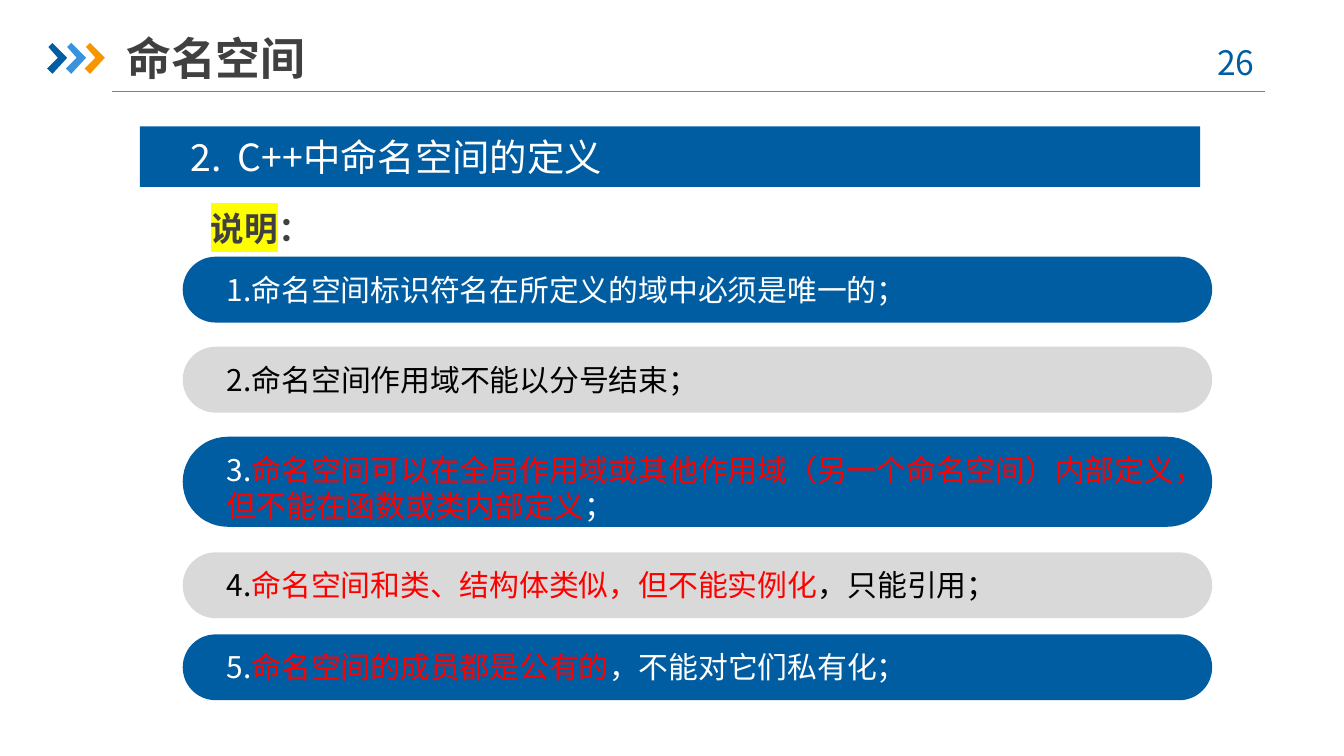
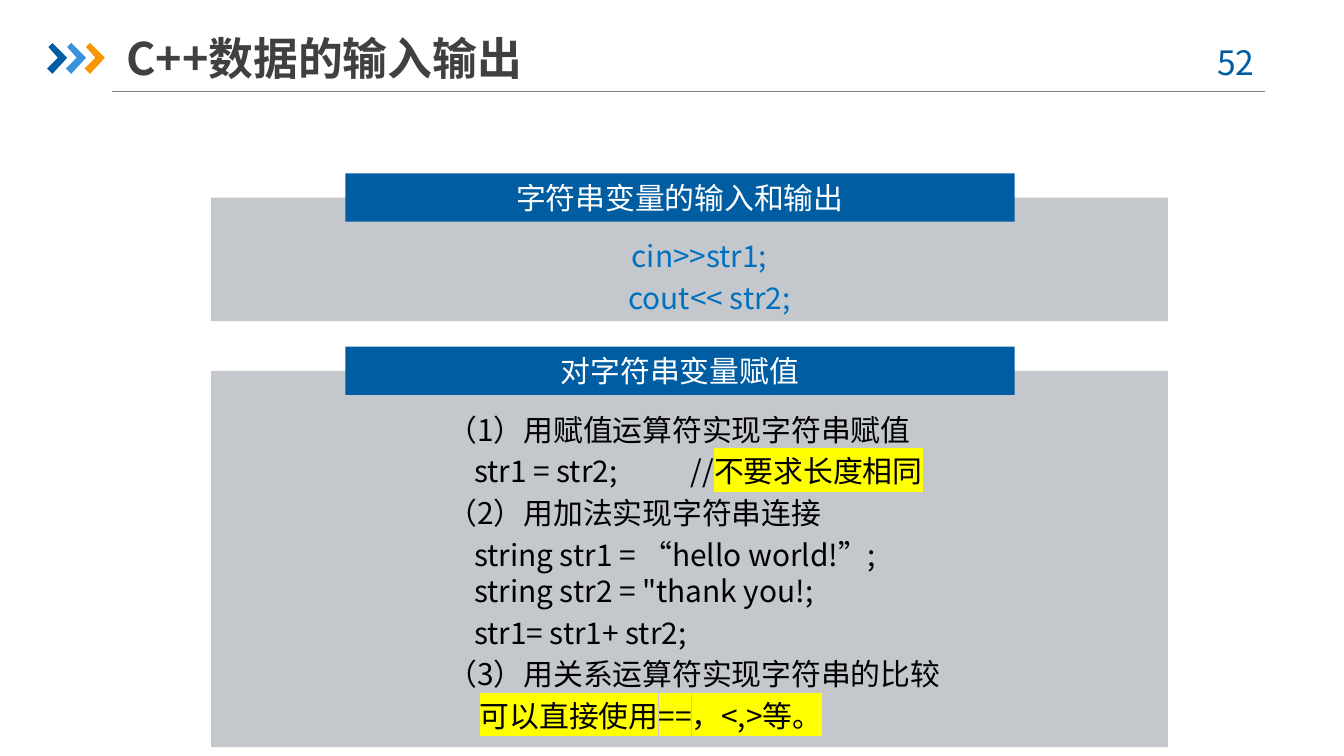
from lxml import etree
from pptx import Presentation
from pptx.dml.color import RGBColor
from pptx.enum.shapes import MSO_CONNECTOR, MSO_SHAPE
from pptx.enum.text import MSO_ANCHOR, MSO_AUTO_SIZE, PP_ALIGN
from pptx.oxml.ns import qn
from pptx.util import Inches, Pt

FONT = "Noto Sans CJK SC"
BLUE = RGBColor(0x00, 0x5D, 0xA2)
SKY = RGBColor(0x39, 0x92, 0xDB)
ORANGE = RGBColor(0xF7, 0x96, 0x00)
CODE_BLUE = RGBColor(0x00, 0x70, 0xC0)
RED = RGBColor(0xFF, 0x00, 0x00)
YELLOW = RGBColor(0xFF, 0xFF, 0x00)
BLACK = RGBColor(0x00, 0x00, 0x00)
WHITE = RGBColor(0xFF, 0xFF, 0xFF)
DARK = RGBColor(0x40, 0x40, 0x40)
RULE_GRAY = RGBColor(0x80, 0x80, 0x80)
PILL_GRAY = RGBColor(0xD9, 0xD9, 0xD9)
PANEL_GRAY = RGBColor(0xC4, 0xC7, 0xCB)

RECT, PILL = MSO_SHAPE.RECTANGLE, MSO_SHAPE.ROUNDED_RECTANGLE
STRAIGHT = MSO_CONNECTOR.STRAIGHT
LEFT, CENTER = PP_ALIGN.LEFT, PP_ALIGN.CENTER
MIDDLE = MSO_ANCHOR.MIDDLE
GROW, FIXED = MSO_AUTO_SIZE.SHAPE_TO_FIT_TEXT, MSO_AUTO_SIZE.NONE

CHEVRON = [(0.01, 0.03), (0.04, 0), (0.15, 0.11), (0.04, 0.23), (0, 0.19), (0.08, 0.11)]
SMALL_INSETS = (0.08, 0.04, 0.08, 0.04)


# Text
def write(p, *runs, size=16, color=BLACK, bold=False, align=LEFT, before=0, indent=0, tab=None):
    """Fill a paragraph; a run is "\n", a string or (string, colour, highlight)."""
    p.alignment = align
    if before:
        p.space_before = Pt(before)
    pPr = p._p.get_or_add_pPr()
    if indent:
        pPr.set("marL", str(Inches(indent)))
        pPr.set("indent", "0")
    if tab:
        tabs = etree.SubElement(pPr, qn("a:tabLst"))
        etree.SubElement(tabs, qn("a:tab"), pos=str(Inches(tab)), algn="l")
    for run in runs:
        if run == "\n":
            p.add_line_break()
            etree.SubElement(p._p[-1], qn("a:rPr"), sz=str(size * 100))
            continue
        text, run_color, highlight = (run, None, None) if isinstance(run, str) else run
        r = p.add_run()
        r.text = text
        r.font.size, r.font.bold = Pt(size), bold
        r.font.color.rgb = run_color or color
        rPr = r._r.get_or_add_rPr()
        if highlight:
            mark = etree.SubElement(rPr, qn("a:highlight"))
            etree.SubElement(mark, qn("a:srgbClr"), val=str(highlight))
        for tag in ("a:latin", "a:ea"):
            etree.SubElement(rPr, qn(tag), typeface=FONT)


def set_insets(tf, insets):
    tf.margin_left, tf.margin_top, tf.margin_right, tf.margin_bottom = map(Inches, insets)


def add_text(slide, box, paragraphs, wrap=True, insets=(0.1, 0.05, 0.1, 0.05), **fmt):
    """Add a text box; a paragraph is (runs, its own format)."""
    tf = slide.shapes.add_textbox(*map(Inches, box)).text_frame
    tf.word_wrap, tf.auto_size = wrap, GROW
    set_insets(tf, insets)
    for i, (runs, own) in enumerate(paragraphs):
        p = tf.add_paragraph() if i else tf.paragraphs[0]
        write(p, *runs, **{**fmt, **own})


# Shapes
def paint(sp, color):
    sp.shadow.inherit = False
    sp.fill.solid()
    sp.fill.fore_color.rgb = color
    sp.line.fill.background()


def add_block(slide, kind, box, color):
    sp = slide.shapes.add_shape(kind, *map(Inches, box))
    paint(sp, color)
    return sp


# Shared header: rule, chevrons, page number, title
def add_header(slide, title, number):
    rule = slide.shapes.add_connector(STRAIGHT, *map(Inches, (0.83, 0.68, 9.41, 0.68)))
    rule.line.color.rgb, rule.line.width = RULE_GRAY, Pt(0.75)
    etree.SubElement(rule._element.spPr, qn("a:effectLst"))
    for i, color in enumerate((BLUE, SKY, ORANGE)):
        points = [(Inches(0.35 + 0.14 * i + x), Inches(0.32 + y)) for x, y in CHEVRON]
        outline = slide.shapes.build_freeform(*points[0])
        outline.add_line_segments(points[1:], close=True)
        paint(outline.convert_to_shape(), color)
    add_text(slide, (8.86, 0.26, 0.73, 0.4), [([f"{number} "], {})],
             size=18, color=BLUE, align=CENTER)
    sp = slide.shapes.title
    sp.left, sp.top, sp.width, sp.height = map(Inches, (0.94, 0.22, 4.69, 0.42))
    tf = sp.text_frame
    tf.word_wrap, tf.auto_size, tf.vertical_anchor = True, FIXED, MIDDLE
    set_insets(tf, (0, 0.05, 0, 0.05))
    write(tf.paragraphs[0], title, size=24, color=DARK, bold=True)


def add_section_band(slide, box, heading):
    left, top, _, _ = box
    add_block(slide, RECT, box, BLUE)
    add_text(slide, (left + 0.28, top + 0.01, 3.67, 0.44), [([heading], {})],
             size=20, color=WHITE, tab=0.35)


def add_note_pill(slide, box, runs, text_width, color, text_color):
    left, top, _, height = box
    add_block(slide, PILL, box, color).adjustments[0] = 0.5
    two_lines = height > 0.5
    add_text(slide, (left + 0.23, top + 0.06, text_width, 0.64 if two_lines else 0.37),
             [(runs, {})], wrap=two_lines, color=text_color)


def add_panel(slide, box, heading, text_box, paragraphs, **fmt):
    """Gray panel with a heading band across its top edge; text_box is relative to it."""
    left, top, _, _ = box
    dx, dy, width, height = text_box
    add_block(slide, RECT, box, PANEL_GRAY)
    band = add_block(slide, RECT, (left + 1, top - 0.18, 4.98, 0.36), BLUE)
    tf = band.text_frame
    tf.vertical_anchor = MIDDLE
    set_insets(tf, SMALL_INSETS)
    write(tf.paragraphs[0], heading, color=WHITE, align=CENTER)
    add_text(slide, (left + dx, top + dy, width, height), paragraphs,
             insets=SMALL_INSETS, **fmt)


# Slides
def build_namespace_slide(slide):
    add_header(slide, "命名空间", 26)
    add_section_band(slide, (1.04, 0.94, 7.89, 0.45), "2.\tC++中命名空间的定义")
    add_text(slide, (1.47, 1.5, 0.95, 0.4), [([("说明", None, YELLOW), "："], {})],
             wrap=False, size=18, color=DARK, bold=True)
    notes = [  # top, height, text width, runs
        (1.91, 0.49, 5.27, ["1.命名空间标识符名在所定义的域中必须是唯一的；"]),
        (2.58, 0.49, 3.72, ["2.命名空间作用域不能以分号结束；"]),
        (3.25, 0.67, 7.34, ["3.", ("命名空间可以在全局作用域或其他作用域（另一个命名空间）"
                                   "内部定义，但不能在函数或类内部定义", RED, None), "；"]),
        (4.11, 0.49, 5.94, ["4.", ("命名空间和类、结构体类似，但不能实例化", RED, None),
                            "，只能引用；"]),
        (4.72, 0.49, 5.27, ["5.", ("命名空间的成员都是公有的", RED, None),
                            "，不能对它们私有化；"]),
    ]
    for i, (top, height, text_width, runs) in enumerate(notes):
        color, text_color = (PILL_GRAY, BLACK) if i % 2 else (BLUE, WHITE)
        add_note_pill(slide, (1.36, top, 7.66, height), runs, text_width, color, text_color)


def build_string_io_slide(slide):
    add_header(slide, "C++数据的输入输出", 52)
    spaced = {"before": 3.2}
    add_panel(slide, (1.57, 1.47, 7.12, 0.92), "字符串变量的输入和输出",
              (0.15, 0.26, 6.97, 0.67),
              [(["cin>>str1;"], {}), (["   cout<< str2;"], spaced)],
              color=CODE_BLUE, align=CENTER)
    add_panel(slide, (1.57, 2.76, 7.12, 2.8), "对字符串变量赋值", (1.68, 0.26, 4.96, 2.55), [
        (["（1）用赋值运算符实现字符串赋值"], {}),
        (["    str1 = str2;\t//", ("不要求长度相同", None, YELLOW)], {**spaced, "tab": 1.81}),
        (["（2）用加法实现字符串连接"], spaced),
        (["    string str1 = “hello world!”; ", "\n", "    string str2 = \"thank you!;"], spaced),
        (["    str1= str1+ str2;"], spaced),
        (["（3）用关系运算符实现字符串的比较"], spaced),
        ([("可以直接使用==，<,>等。", None, YELLOW)], {**spaced, "indent": 0.24}),
    ])


def main():
    prs = Presentation()
    prs.slide_width = Inches(10)
    prs.slide_height = prs.slide_width * 9 // 16
    title_only = prs.slide_layouts[5]
    for build in (build_namespace_slide, build_string_io_slide):
        build(prs.slides.add_slide(title_only))
    prs.save("out.pptx")


if __name__ == "__main__":
    main()
